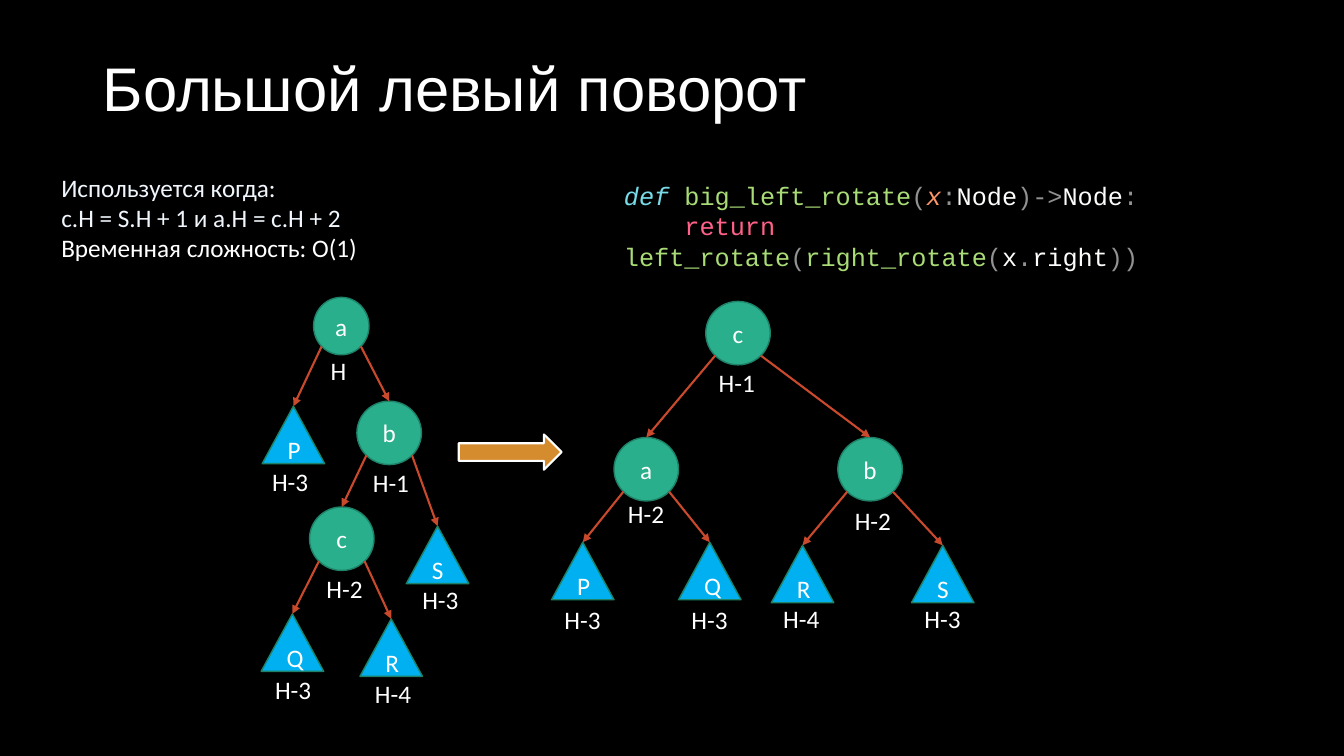
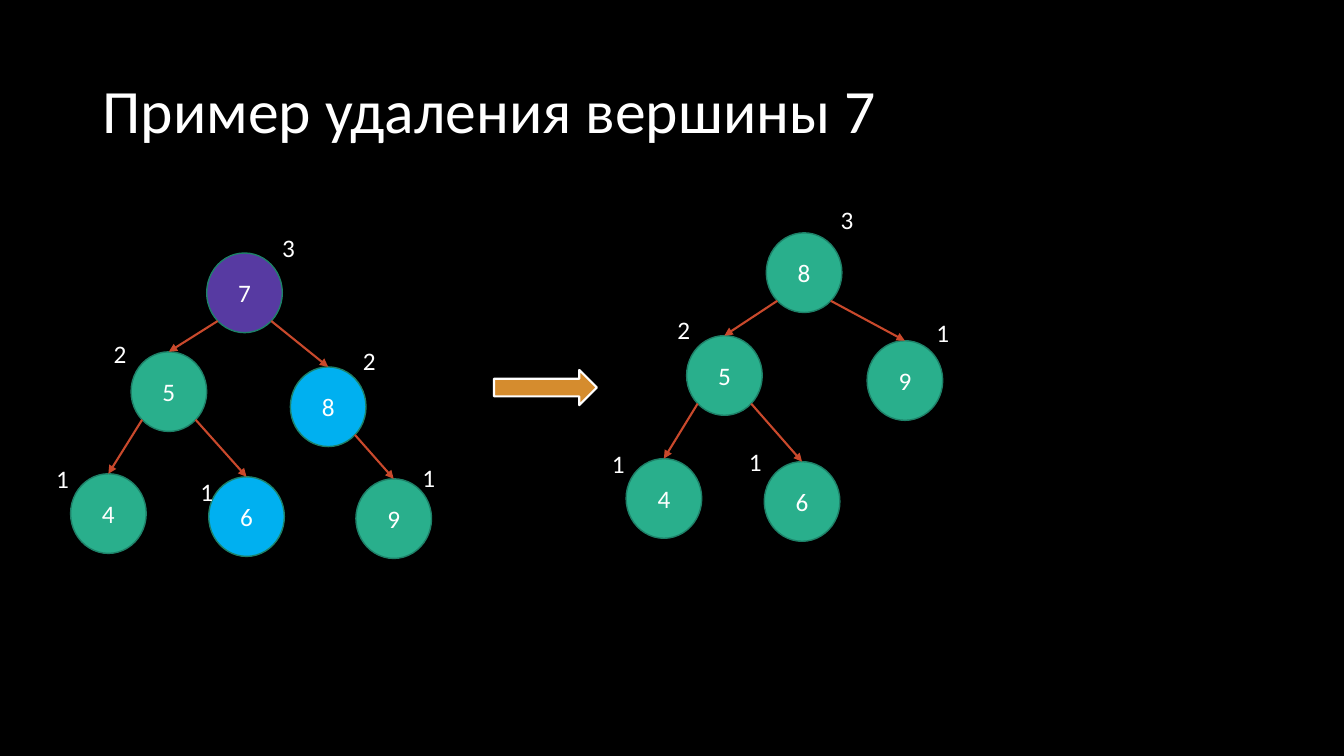
from lxml.etree import SubElement
from pptx import Presentation
from pptx.dml.color import RGBColor
from pptx.enum.shapes import MSO_CONNECTOR, MSO_SHAPE
from pptx.enum.text import MSO_ANCHOR, MSO_AUTO_SIZE, PP_ALIGN
from pptx.oxml.ns import qn
from pptx.util import Inches, Pt

COLORS = {
    "background": "000000", "white": "FFFFFF", "note": "F0F6FC",
    "green": "29AF8C", "blue": "00B0F0", "purple": "573AA2",
    "outline": "1E8168", "edge": "C9492C", "arrow": "D58C2E",
    "keyword": "78DCE8", "function": "A9DC76", "mark": "939293",
    "argument": "FC9867", "plain": "FCFCFA", "control": "FF6188",
}
BODY_FONT, CODE_FONT = "Calibri", "Courier New"
TITLE_LEFT, TITLE_WIDTH, TITLE_HEIGHT = 0.92, 11.5, 1.45
ARROW_SIZE = (1.02, 0.35)
DIAGONAL = 0.5 ** 0.5 / 2
CODE_INDENT = 0.6

NODE_KINDS = {
    "root": (MSO_SHAPE.OVAL, 0.55, 0.57, "green"),
    "node": (MSO_SHAPE.OVAL, 0.64, 0.63, "green"),
    "subtree": (MSO_SHAPE.ISOSCELES_TRIANGLE, 0.62, 0.57, "blue"),
    "vertex": (MSO_SHAPE.OVAL, 0.75, 0.79, "green"),
    "changed": (MSO_SHAPE.OVAL, 0.75, 0.79, "blue"),
    "removed": (MSO_SHAPE.OVAL, 0.75, 0.79, "purple"),
}

# node: name, kind, (left, top), parent, height label, (label left, label top)
SLIDES = [
    {
        "title": ("Большой левый поворот", "Arial", 0.18),
        "arrow": (4.55, 4.31),
        "trees": [
            [
                ("a", "root", (3.11, 2.95), None, "H", (3.18, 3.48)),
                ("P", "subtree", (2.6, 4.03), "a", "H-3", (2.6, 4.58)),
                ("b", "node", (3.54, 3.98), "a", "H-1", (3.6, 4.59)),
                ("c", "node", (3.07, 5.03), "b", "H-2", (3.14, 5.64)),
                ("S", "subtree", (4.03, 5.22), "b", "H-3", (4.09, 5.75)),
                ("Q", "subtree", (2.59, 6.09), "c", "H-3", (2.63, 6.64)),
                ("R", "subtree", (3.57, 6.14), "c", "H-4", (3.62, 6.68)),
            ],
            [
                ("c", "node", (7, 2.99), None, "H-1", (7.03, 3.59)),
                ("a", "node", (6.09, 4.34), "c", "H-2", (6.13, 4.89)),
                ("b", "node", (8.31, 4.34), "c", "H-2", (8.38, 4.96)),
                ("P", "subtree", (5.47, 5.38), "a", "H-3", (5.5, 5.95)),
                ("Q", "subtree", (6.73, 5.38), "a", "H-3", (6.76, 5.95)),
                ("R", "subtree", (7.65, 5.41), "b", "H-4", (7.67, 5.94)),
                ("S", "subtree", (9.04, 5.41), "b", "H-3", (9.07, 5.94)),
            ],
        ],
        "texts": [
            ((6.09, 1.74, 6.67, 1.62), CODE_FONT, [
                (0, [("def ", "keyword"), ("big_left_rotate", "function"),
                     ("(", "mark"), ("x", "argument"), (":", "mark"),
                     ("Node", "plain"), (")->", "mark"), ("Node", "plain"),
                     (":", "mark")]),
                (CODE_INDENT, [
                    ("return ", "control"), ("left_rotate", "function"),
                    ("(", "mark"), ("right_rotate", "function"),
                    ("(", "mark"), ("x", "plain"), (".", "mark"),
                    ("right", "plain"), ("))", "mark")]),
            ]),
            ((0.51, 1.66, 5.44, 1.01), BODY_FONT, [
                (0, [("Используется когда:", "note")]),
                (0, [("c.H = S.H + 1 и a.H = c.H + 2", "note")]),
                (0, [("Временная сложность: O(1)", "white")]),
            ]),
        ],
    },
    {
        "title": ("Пример удаления вершины 7", "Calibri", 0.4),
        "arrow": (4.9, 3.67),
        "trees": [
            [
                ("7", "removed", (2.05, 2.51), None, "3", (2.7, 2.26)),
                ("5", "vertex", (1.3, 3.49), "7", "2", (1.03, 3.31)),
                ("8", "changed", (2.88, 3.64), "7", "2", (3.5, 3.38)),
                ("4", "vertex", (0.7, 4.7), "5", "1", (0.46, 4.55)),
                ("6", "changed", (2.07, 4.73), "5", "1", (1.89, 4.68)),
                ("9", "vertex", (3.53, 4.75), "8", "1", (4.09, 4.54)),
            ],
            [
                ("8", "vertex", (7.6, 2.31), None, "3", (8.24, 1.98)),
                ("5", "vertex", (6.81, 3.33), "8", "2", (6.62, 3.07)),
                ("9", "vertex", (8.6, 3.38), "8", "1", (9.19, 3.1)),
                ("4", "vertex", (6.21, 4.55), "5", "1", (5.97, 4.4)),
                ("6", "vertex", (7.58, 4.58), "5", "1", (7.33, 4.38)),
            ],
        ],
        "texts": [],
    },
]
LABEL_WIDTHS = {1: 0.33, 3: 0.56}
LABEL_HEIGHT = 0.4
ITALIC = ("keyword", "argument")


def rgb(name):
    return RGBColor.from_string(COLORS[name])


def add_run(paragraph, text, color="white", **formats):
    run = paragraph.add_run()
    run.text = text
    run.font.color.rgb = rgb(color)
    values = {"name": BODY_FONT, "size": Pt(18), "italic": color in ITALIC}
    for attribute, value in (values | formats).items():
        setattr(run.font, attribute, value)


def add_text_box(slide, box, **formats):
    frame = slide.shapes.add_textbox(*map(Inches, box)).text_frame
    for attribute, value in ({"word_wrap": True} | formats).items():
        setattr(frame, attribute, value)
    return frame


def add_title(slide, text, font, top):
    box = (TITLE_LEFT, top, TITLE_WIDTH, TITLE_HEIGHT)
    frame = add_text_box(slide, box, vertical_anchor=MSO_ANCHOR.MIDDLE)
    paragraph = frame.paragraphs[0]
    paragraph.line_spacing = 0.9
    add_run(paragraph, text, name=font, size=Pt(44))


def add_figure(slide, preset, box, fill, line, width):
    shape = slide.shapes.add_shape(preset, *map(Inches, box))
    shape.shadow.inherit = False
    shape.fill.solid()
    shape.fill.fore_color.rgb = rgb(fill)
    shape.line.color.rgb = rgb(line)
    shape.line.width = Pt(width)
    return shape


def add_edge(slide, parent, child):
    left, top, width, height = parent
    child_center = child[0] + child[2] / 2
    center = left + width / 2
    side = -1 if child_center < center else 1
    points = (center + side * DIAGONAL * width,
              top + (0.5 + DIAGONAL) * height, child_center, child[1])
    edge = slide.shapes.add_connector(MSO_CONNECTOR.STRAIGHT, *map(Inches, points))
    edge.line.color.rgb = rgb("edge")
    edge.line.width = Pt(1.5)
    SubElement(edge.line._get_or_add_ln(), qn("a:tailEnd"), type="triangle")
    SubElement(edge._element.spPr, qn("a:effectLst"))


def add_tree(slide, nodes):
    boxes = {}
    for name, kind, corner, *_ in nodes:
        preset, width, height, fill = NODE_KINDS[kind]
        boxes[name] = (*corner, width, height)
        shape = add_figure(slide, preset, boxes[name], fill, "outline", 1)
        frame = shape.text_frame
        frame.vertical_anchor = MSO_ANCHOR.MIDDLE
        frame.paragraphs[0].alignment = PP_ALIGN.CENTER
        add_run(frame.paragraphs[0], name)
    for name, _, _, parent, label, corner in nodes:
        if parent:
            add_edge(slide, boxes[parent], boxes[name])
        width = 0.36 if label == "H" else LABEL_WIDTHS[len(label)]
        frame = add_text_box(slide, (*corner, width, LABEL_HEIGHT),
                             word_wrap=False,
                             auto_size=MSO_AUTO_SIZE.SHAPE_TO_FIT_TEXT)
        add_run(frame.paragraphs[0], label)


def add_lines(slide, box, font, lines):
    frame = add_text_box(slide, box)
    for index, (indent, runs) in enumerate(lines):
        paragraph = frame.add_paragraph() if index else frame.paragraphs[0]
        if indent:
            properties = paragraph._p.get_or_add_pPr()
            properties.set("marL", "0")
            properties.set("indent", str(Inches(indent)))
        for text, color in runs:
            add_run(paragraph, text, color, name=font)


def main():
    presentation = Presentation()
    presentation.slide_width = Inches(13.33)
    presentation.slide_height = Inches(7.5)
    background = presentation.slide_master.background.fill
    background.solid()
    background.fore_color.rgb = rgb("background")
    for content in SLIDES:
        slide = presentation.slides.add_slide(presentation.slide_layouts[6])
        add_title(slide, *content["title"])
        for nodes in content["trees"]:
            add_tree(slide, nodes)
        add_figure(slide, MSO_SHAPE.RIGHT_ARROW,
                   (*content["arrow"], *ARROW_SIZE), "arrow", "white", 1.5)
        for text in content["texts"]:
            add_lines(slide, *text)
    presentation.save("out.pptx")


if __name__ == "__main__":
    main()
